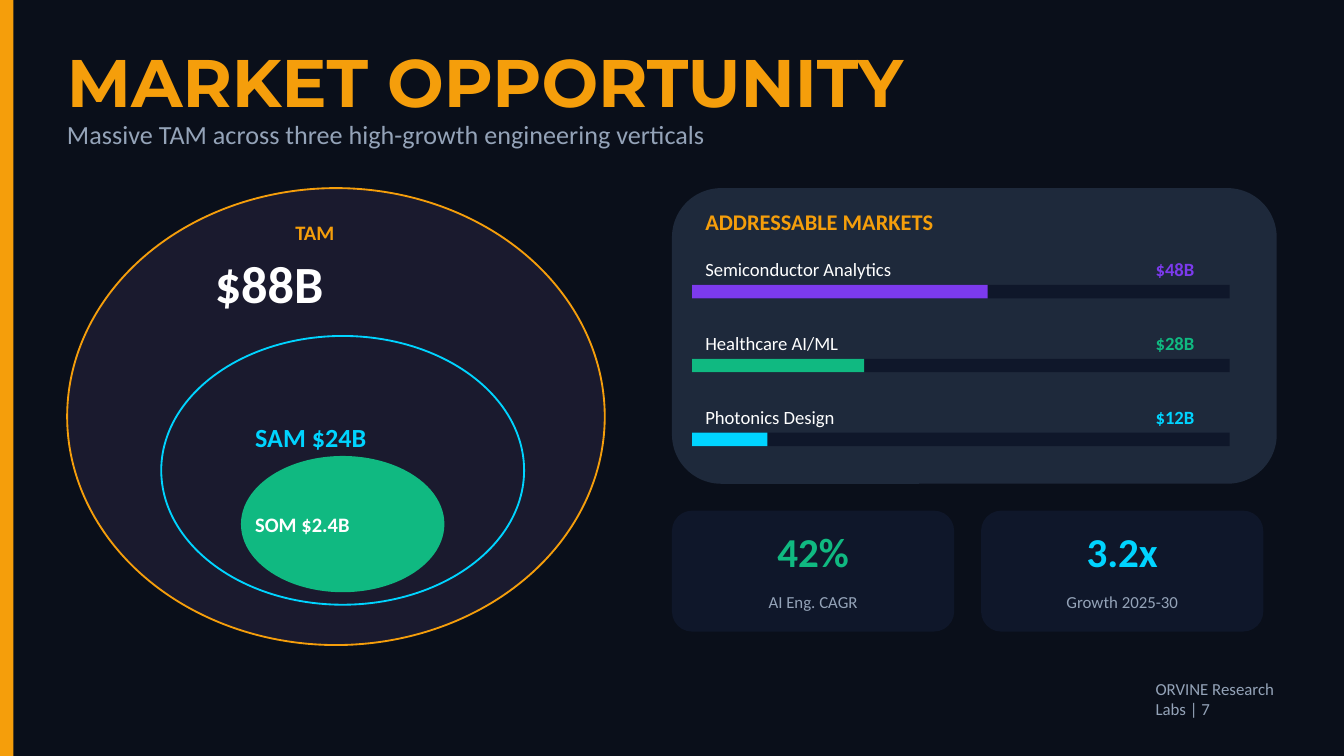
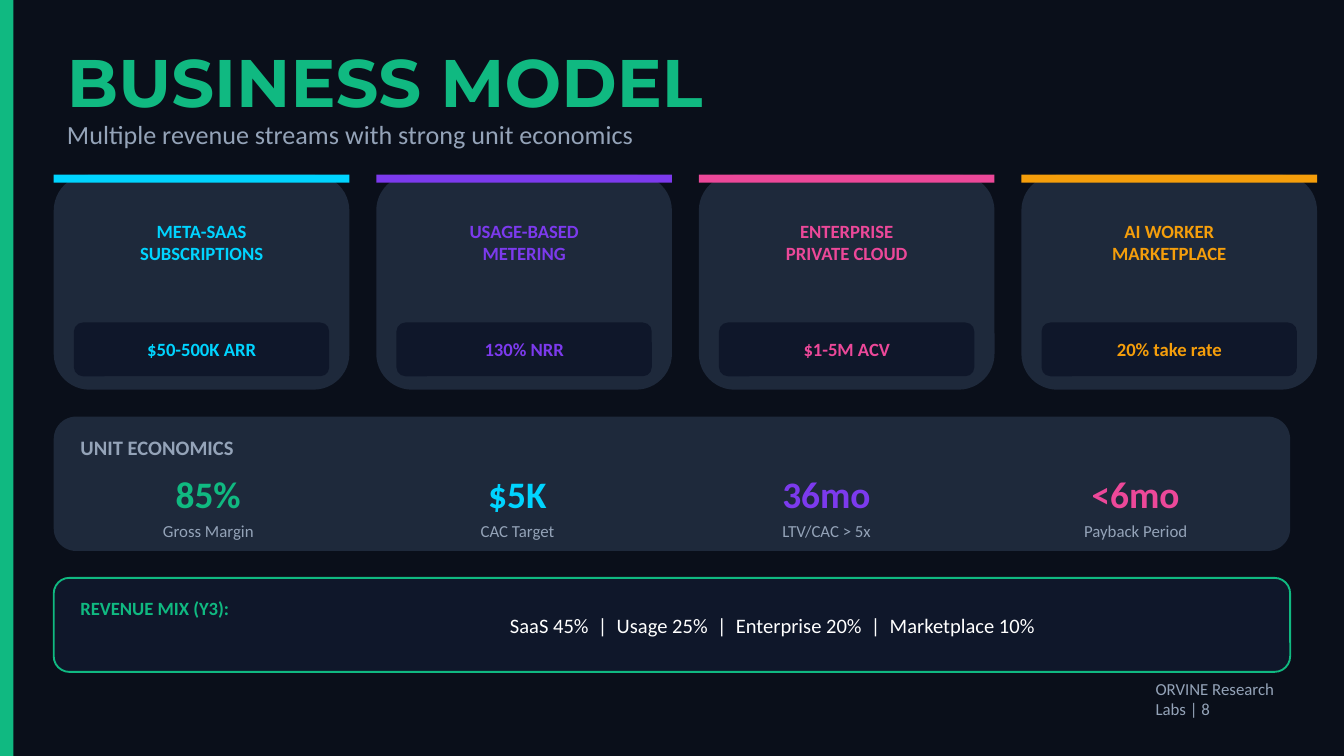
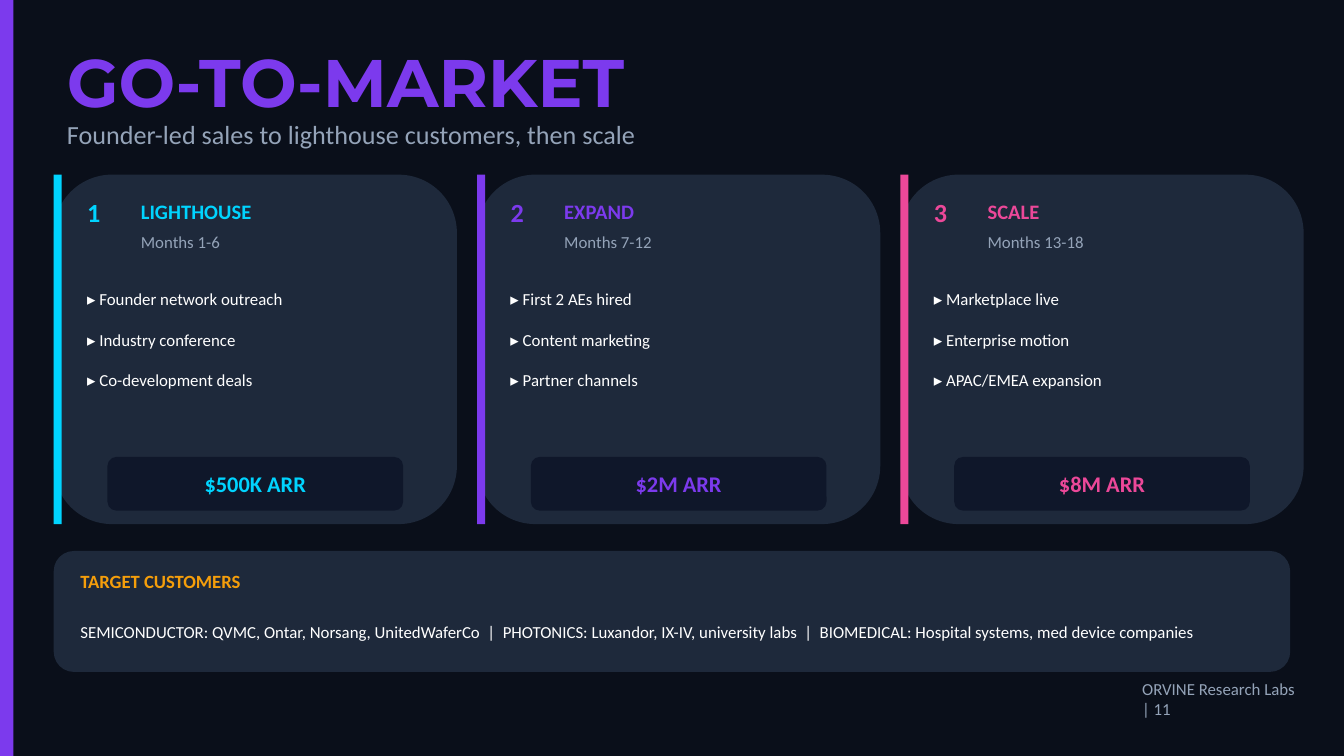
import pptx
import pptx.util
import pptx.dml.color
import pptx.enum.shapes
import pptx.enum.text
from dataclasses import dataclass

Inches = pptx.util.Inches
Kind = pptx.enum.shapes.MSO_SHAPE
Align = pptx.enum.text.PP_ALIGN


@dataclass(frozen=True)
class Theme:
    back: str = "0A0F1A"
    card: str = "1E293B"
    well: str = "0F172A"
    disc: str = "1A1A2E"
    white: str = "FFFFFF"
    gray: str = "94A3B8"
    amber: str = "F59E0B"
    green: str = "10B981"
    cyan: str = "00D4FF"
    violet: str = "7C3AED"
    pink: str = "EC4899"
    head: str = "Montserrat"
    body: str = "Calibri"
    title: int = 36
    hero: int = 28
    stat: int = 22
    fact: int = 20
    lead: int = 14
    large: int = 12
    label: int = 11
    text: int = 10
    note: int = 9


T = Theme()
WIDE, HIGH = 10, 5.625
EDGE, FULL = 0.4, 9.2
BRAND = "ORVINE Research Labs"

MARKET = {
    "title": "MARKET OPPORTUNITY",
    "sub": "Massive TAM across three high-growth engineering verticals",
    "tint": T.amber, "page": 7, "foot": (8.5, 1.3),
    "rings": [
        ((0.5, 1.4, 4, 3.4), T.disc, T.amber, [
            ("TAM", (2.1, 1.6, 0.8, 0.25), T.label, T.amber),
            ("$88B", (1.5, 1.85, 2, 0.5), T.hero, T.white)]),
        ((1.2, 2.5, 2.7, 2), T.disc, T.cyan, [
            ("SAM $24B", (1.8, 3, 1.5, 0.5), T.lead, T.cyan)]),
        ((1.8, 3.4, 1.5, 1), T.green, T.green, [
            ("SOM $2.4B", (1.8, 3.65, 1.5, 0.5), T.label, T.white)]),
    ],
    "panel": "ADDRESSABLE MARKETS",
    "bars": [
        ("Semiconductor Analytics", "$48B", 0.55, T.violet),
        ("Healthcare AI/ML", "$28B", 0.32, T.green),
        ("Photonics Design", "$12B", 0.14, T.cyan),
    ],
    "stats": [("42%", "AI Eng. CAGR", T.green),
              ("3.2x", "Growth 2025-30", T.cyan)],
}

MODEL = {
    "title": "BUSINESS MODEL",
    "sub": "Multiple revenue streams with strong unit economics",
    "tint": T.green, "page": 8, "foot": (8.5, 1.3),
    "streams": [
        ("META-SAAS\nSUBSCRIPTIONS", "$50-500K ARR", T.cyan),
        ("USAGE-BASED\nMETERING", "130% NRR", T.violet),
        ("ENTERPRISE\nPRIVATE CLOUD", "$1-5M ACV", T.pink),
        ("AI WORKER\nMARKETPLACE", "20% take rate", T.amber),
    ],
    "panel": "UNIT ECONOMICS",
    "facts": [
        ("85%", "Gross Margin", T.green),
        ("$5K", "CAC Target", T.cyan),
        ("36mo", "LTV/CAC > 5x", T.violet),
        ("<6mo", "Payback Period", T.pink),
    ],
    "mix": ("REVENUE MIX (Y3):",
            "SaaS 45%  |  Usage 25%  |  Enterprise 20%  |  Marketplace 10%"),
}

LAUNCH = {
    "title": "GO-TO-MARKET",
    "sub": "Founder-led sales to lighthouse customers, then scale",
    "tint": T.violet, "page": 11, "foot": (8.4, 1.4),
    "stages": [
        ("LIGHTHOUSE", "Months 1-6", "$500K ARR", T.cyan,
         ["Founder network outreach", "Industry conference", "Co-development deals"]),
        ("EXPAND", "Months 7-12", "$2M ARR", T.violet,
         ["First 2 AEs hired", "Content marketing", "Partner channels"]),
        ("SCALE", "Months 13-18", "$8M ARR", T.pink,
         ["Marketplace live", "Enterprise motion", "APAC/EMEA expansion"]),
    ],
    "buyers": ("TARGET CUSTOMERS",
               "SEMICONDUCTOR: QVMC, Ontar, Norsang, UnitedWaferCo  |  "
               "PHOTONICS: Luxandor, IX-IV, university labs  |  "
               "BIOMEDICAL: Hospital systems, med device companies"),
}


def tone(code):
    return pptx.dml.color.RGBColor.from_string(code)


def write(slide, text, *box, size=T.text, color=T.white, bold=False,
          font=T.body, mid=False):
    frame = slide.shapes.add_textbox(*map(Inches, box)).text_frame
    frame.word_wrap = True
    frame.vertical_anchor = pptx.enum.text.MSO_ANCHOR.MIDDLE
    for n, line in enumerate(text.split("\n")):
        para = frame.add_paragraph() if n else frame.paragraphs[0]
        para.alignment = Align.CENTER if mid else Align.LEFT
        run = para.add_run()
        run.text = line
        run.font.size = pptx.util.Pt(size)
        run.font.name = font
        run.font.bold = bold
        run.font.color.rgb = tone(color)


def draw(slide, kind, fill, *box, line=None):
    shape = slide.shapes.add_shape(kind, *map(Inches, box))
    shape.shadow.inherit = False
    shape.fill.solid()
    shape.fill.fore_color.rgb = tone(fill)
    if line:
        shape.line.color.rgb = tone(line)
        shape.line.width = pptx.util.Pt(1)
    else:
        shape.line.fill.background()


def card(slide, fill, *box, line=None):
    draw(slide, Kind.ROUNDED_RECTANGLE, fill, *box, line=line)


def bar(slide, fill, *box):
    draw(slide, Kind.RECTANGLE, fill, *box)


def badge(slide, text, left, top, wide, size, color):
    card(slide, T.well, left, top, wide, 0.4)
    write(slide, text, left, top + 0.05, wide, 0.3, size=size, color=color,
          bold=True, mid=True)


def start(deck, data):
    slide = deck.slides.add_slide(deck.slide_layouts[6])
    slide.background.fill.solid()
    slide.background.fill.fore_color.rgb = tone(T.back)
    bar(slide, data["tint"], 0, 0, 0.1, HIGH)
    write(slide, data["title"], EDGE, 0.3, 9, 0.6, size=T.title,
          color=data["tint"], bold=True, font=T.head)
    write(slide, data["sub"], EDGE, 0.85, 9, 0.3, size=T.lead, color=T.gray)
    return slide


def finish(slide, data):
    left, wide = data["foot"]
    write(slide, f"{BRAND} | {data['page']}", left, 5.1, wide, 0.2,
          size=T.note, color=T.gray)


def market(deck, data):
    slide = start(deck, data)
    for box, fill, line, words in data["rings"]:
        draw(slide, Kind.OVAL, fill, *box, line=line)
        for text, place, size, color in words:
            write(slide, text, *place, size=size, color=color, bold=True)

    left, span = 5.15, 4
    card(slide, T.card, 5, 1.4, 4.5, 2.2)
    write(slide, data["panel"], left, 1.5, 4.2, 0.3, size=T.large,
          color=T.amber, bold=True)
    for n, (name, worth, share, color) in enumerate(data["bars"]):
        top = 1.9 + n * 0.55
        write(slide, name, left, top, 2.5, 0.2)
        write(slide, worth, 8.5, top, 0.8, 0.2, color=color, bold=True)
        bar(slide, T.well, left, top + 0.22, span, 0.1)
        bar(slide, color, left, top + 0.22, span * share, 0.1)

    for n, (value, name, color) in enumerate(data["stats"]):
        left = 5 + n * 2.3
        card(slide, T.well, left, 3.8, 2.1, 0.9)
        write(slide, value, left + 0.1, 3.9, 1.9, 0.4, size=T.stat,
              color=color, bold=True, mid=True)
        write(slide, name, left + 0.1, 4.35, 1.9, 0.25, size=T.note,
              color=T.gray, mid=True)
    finish(slide, data)


def model(deck, data):
    slide = start(deck, data)
    for n, (name, worth, color) in enumerate(data["streams"]):
        left = EDGE + n * 2.4
        card(slide, T.card, left, 1.3, 2.2, 1.6)
        bar(slide, color, left, 1.3, 2.2, 0.06)
        write(slide, name, left + 0.1, 1.5, 2, 0.6, color=color,
              bold=True, mid=True)
        badge(slide, worth, left + 0.15, 2.4, 1.9, T.text, color)

    card(slide, T.card, EDGE, 3.1, FULL, 1)
    write(slide, data["panel"], 0.5, 3.2, 2, 0.25, size=T.label,
          color=T.gray, bold=True)
    for n, (value, name, color) in enumerate(data["facts"]):
        left = 0.8 + n * 2.3
        write(slide, value, left, 3.5, 1.5, 0.35, size=T.fact, color=color,
              bold=True, mid=True)
        write(slide, name, left, 3.85, 1.5, 0.2, size=T.note, color=T.gray,
              mid=True)

    head, parts = data["mix"]
    card(slide, T.well, EDGE, 4.3, FULL, 0.7, line=T.green)
    write(slide, head, 0.5, 4.4, 2, 0.25, color=T.green, bold=True)
    write(slide, parts, 2.5, 4.4, 6.5, 0.5, size=T.label, mid=True)
    finish(slide, data)


def launch(deck, data):
    slide = start(deck, data)
    for n, (name, time, goal, color, steps) in enumerate(data["stages"]):
        left = EDGE + n * 3.15
        card(slide, T.card, left, 1.3, 3, 2.6)
        bar(slide, color, left, 1.3, 0.06, 2.6)
        write(slide, str(n + 1), left + 0.15, 1.4, 0.35, 0.35, size=T.lead,
              color=color, bold=True)
        write(slide, name, left + 0.55, 1.45, 2.3, 0.25, size=T.label,
              color=color, bold=True)
        write(slide, time, left + 0.55, 1.7, 2.3, 0.2, size=T.note,
              color=T.gray)
        for row, step in enumerate(steps):
            write(slide, f"▸ {step}", left + 0.15, 2.1 + row * 0.3, 2.7, 0.25,
                  size=T.note)
        badge(slide, goal, left + 0.4, 3.4, 2.2, T.large, color)

    head, names = data["buyers"]
    card(slide, T.card, EDGE, 4.1, FULL, 0.9)
    write(slide, head, 0.5, 4.2, 2, 0.25, color=T.amber, bold=True)
    write(slide, names, 0.5, 4.5, 9, 0.4, size=T.note)
    finish(slide, data)


def main():
    deck = pptx.Presentation()
    deck.slide_width, deck.slide_height = Inches(WIDE), Inches(HIGH)
    market(deck, MARKET)
    model(deck, MODEL)
    launch(deck, LAUNCH)
    deck.save("out.pptx")


if __name__ == "__main__":
    main()
